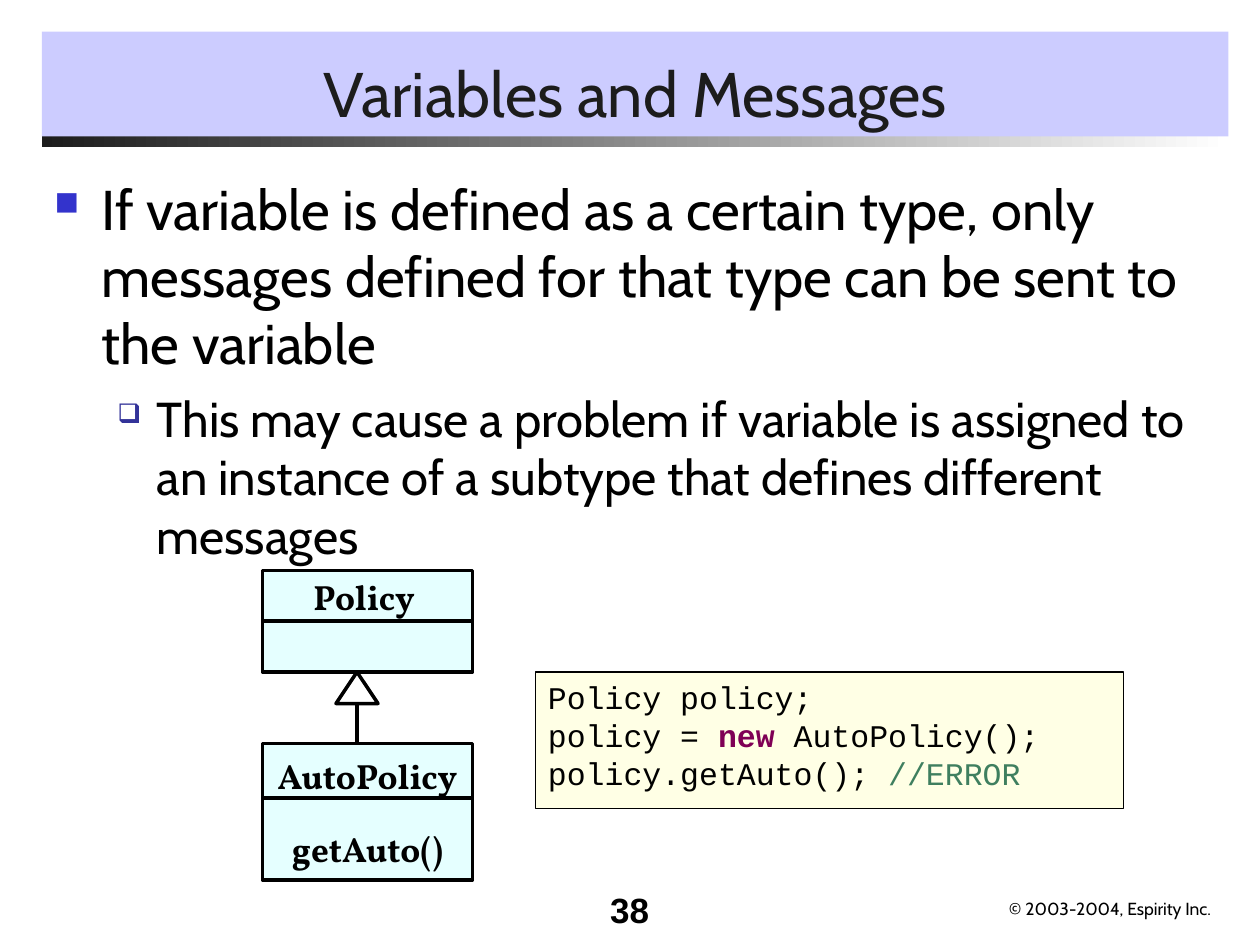
from lxml import etree
from pptx import Presentation
from pptx.dml.color import RGBColor
from pptx.enum.shapes import MSO_CONNECTOR, MSO_SHAPE
from pptx.enum.text import MSO_ANCHOR, PP_ALIGN
from pptx.oxml.ns import qn
from pptx.util import Pt

RECT, TRIANGLE = MSO_SHAPE.RECTANGLE, MSO_SHAPE.ISOSCELES_TRIANGLE
LEFT, CENTER, RIGHT = PP_ALIGN.LEFT, PP_ALIGN.CENTER, PP_ALIGN.RIGHT
TOP, MIDDLE, BOTTOM = MSO_ANCHOR.TOP, MSO_ANCHOR.MIDDLE, MSO_ANCHOR.BOTTOM
STRAIGHT = MSO_CONNECTOR.STRAIGHT

COLORS = {
    "black": "000000", "white": "FFFFFF", "ink": "1C1C1C", "band": "CCCCFF",
    "class": "CCFFFF", "code": "FFFFCC", "keyword": "7F0055", "comment": "3F7F5F",
    "bullet": "3333CC", "sub_bullet": "333399",
}

# Content
TITLE = "Variables and Messages"
PAGE_NUMBER = "38"
COPYRIGHT = "© 2003-2004, Espirity Inc."
POINTS = [  # text, size, space before, left margin, hanging, bullet, color, bullet %
    ("If variable is defined as a certain type, only messages defined for that "
     "type can be sent to the variable", 32, 0, 27, 27, "■", "bullet", 60),
    ("This may cause a problem if variable is assigned to an instance of a "
     "subtype that defines different messages", 28, 7, 58.5, 22.5, "❑", "sub_bullet", 55),
]
PARENT, CHILD, CHILD_METHOD = "Policy", "AutoPolicy", "getAuto()"
CODE = [
    [("Policy policy;", "black")],
    [("policy = ", "black"), ("new", "keyword"), (" AutoPolicy();", "black")],
    [("policy.getAuto(); ", "black"), ("//ERROR", "comment")],
]

# Places in points: left, top, width, height
BAND = (24, 18, 678, 60)
RULE = (24, 78, 678, 6)
BODY = (24, 96, 681, 390)
PARENT_BOX = (150, 326, 120, 58)
PARENT_LABEL = (172, 325.5, 75.5, 31.5)
CHILD_BOX = (150, 425, 120, 78)
CHILD_DIVIDER_Y = 456
ARROW = (192, 384, 24, 18)
CODE_BOX = (306, 384, 336, 78)
NUMBER_BOX = (318, 504, 60, 36)
COPYRIGHT_BOX = (569.5, 509.5, 133, 19.5)

prs = Presentation()
prs.slide_width, prs.slide_height = Pt(720), Pt(540)
slide = prs.slides.add_slide(prs.slide_layouts[6])
shapes = slide.shapes


def rgb(name):
    return RGBColor.from_string(COLORS[name])


def style(paragraph, size, face, color="black", bold=False, align=LEFT):
    paragraph.alignment = align
    font = paragraph.font
    font.size, font.name, font.bold = Pt(size), face, bold
    font.color.rgb = rgb(color)


def add_box(kind, place, fill=None, line=None, alpha=None):
    box = shapes.add_shape(kind, *map(Pt, place))
    box.shadow.inherit = False
    if fill:
        box.fill.solid()
        box.fill.fore_color.rgb = rgb(fill)
    else:
        box.fill.background()
    if alpha:
        color = box.fill._xPr.find(qn("a:solidFill"))[0]
        etree.SubElement(color, qn("a:alpha"), val=str(alpha * 1000))
    if line:
        box.line.color.rgb = rgb("black")
        box.line.width = Pt(line)
    else:
        box.line.fill.background()
    return box


def add_line(x1, y1, x2, y2):
    line = shapes.add_connector(STRAIGHT, Pt(x1), Pt(y1), Pt(x2), Pt(y2))
    line.line.color.rgb = rgb("black")
    line.line.width = Pt(2)
    etree.SubElement(line._element.spPr, qn("a:effectLst"))
    return line


def add_text(place, text, wrap, *look, **more):
    frame = shapes.add_textbox(*map(Pt, place)).text_frame
    frame.word_wrap = wrap
    frame.text = text
    style(frame.paragraphs[0], *look, **more)


def indent(paragraph, margin, hanging):
    props = paragraph._p.get_or_add_pPr()
    props.set("marL", str(Pt(margin)))
    props.set("indent", str(-Pt(hanging)))
    return props


# Fading rule under the title, page number and copyright
rule = add_box(RECT, RULE, "ink")
rule.fill.gradient()
rule.fill.gradient_angle = 0
for stop, shade in zip(rule.fill.gradient_stops, ("ink", "white")):
    stop.color.rgb = rgb(shade)
add_text(NUMBER_BOX, PAGE_NUMBER, True, 20, "Arial", bold=True, align=RIGHT)
add_text(COPYRIGHT_BOX, COPYRIGHT, False, 10, "Cabin")

# Title band
title = add_box(RECT, BAND, "band").text_frame
title.text = TITLE
title.vertical_anchor = BOTTOM
style(title.paragraphs[0], 36, "Cabin", "ink", align=CENTER)

# Bulleted points
body = shapes.add_textbox(*map(Pt, BODY)).text_frame
body.word_wrap = True
for i, (text, size, before, margin, hanging, mark, color, percent) in enumerate(POINTS):
    point = body.add_paragraph() if i else body.paragraphs[0]
    point.text = text
    point.level = i
    props = indent(point, margin, hanging)
    bullet_color = etree.SubElement(props, qn("a:buClr"))
    etree.SubElement(bullet_color, qn("a:srgbClr"), val=COLORS[color])
    etree.SubElement(props, qn("a:buSzPct"), val=str(percent * 1000))
    etree.SubElement(props, qn("a:buChar"), char=mark)
    point.space_before = Pt(before)
    style(point, size, "Cabin")

# Parent class
parent = add_box(RECT, PARENT_BOX, "class", 2, alpha=50)
divider = add_line(0, 0, 0, 0)
divider.begin_connect(parent, 1)
divider.end_connect(parent, 3)
add_text(PARENT_LABEL, PARENT, False, 20, "Vollkorn", bold=True)

# Inheritance arrow
stem_x = ARROW[0] + ARROW[2] / 2
add_line(stem_x, ARROW[1] + ARROW[3], stem_x, CHILD_BOX[1])
add_box(TRIANGLE, ARROW, line=2)

# Child class
child = add_box(RECT, CHILD_BOX, "class", 2, alpha=50).text_frame
child.word_wrap = False
child.vertical_anchor = MIDDLE
child.text = CHILD + "\n" + CHILD_METHOD
for member in child.paragraphs:
    style(member, 20, "Vollkorn", bold=True, align=CENTER)
child.paragraphs[1].space_before = Pt(18)
add_line(CHILD_BOX[0], CHILD_DIVIDER_Y, CHILD_BOX[0] + CHILD_BOX[2], CHILD_DIVIDER_Y)

# Code sample
code = add_box(RECT, CODE_BOX, "code", 0.75, alpha=50).text_frame
code.word_wrap = True
code.vertical_anchor = TOP
for i, pieces in enumerate(CODE):
    row = code.add_paragraph() if i else code.paragraphs[0]
    indent(row, 27, 27)
    style(row, 18, "Courier New")
    for text, color in pieces:
        run = row.add_run()
        run.text = text
        if color != "black":
            run.font.color.rgb = rgb(color)
            run.font.bold = color == "keyword"

prs.save("out.pptx")
